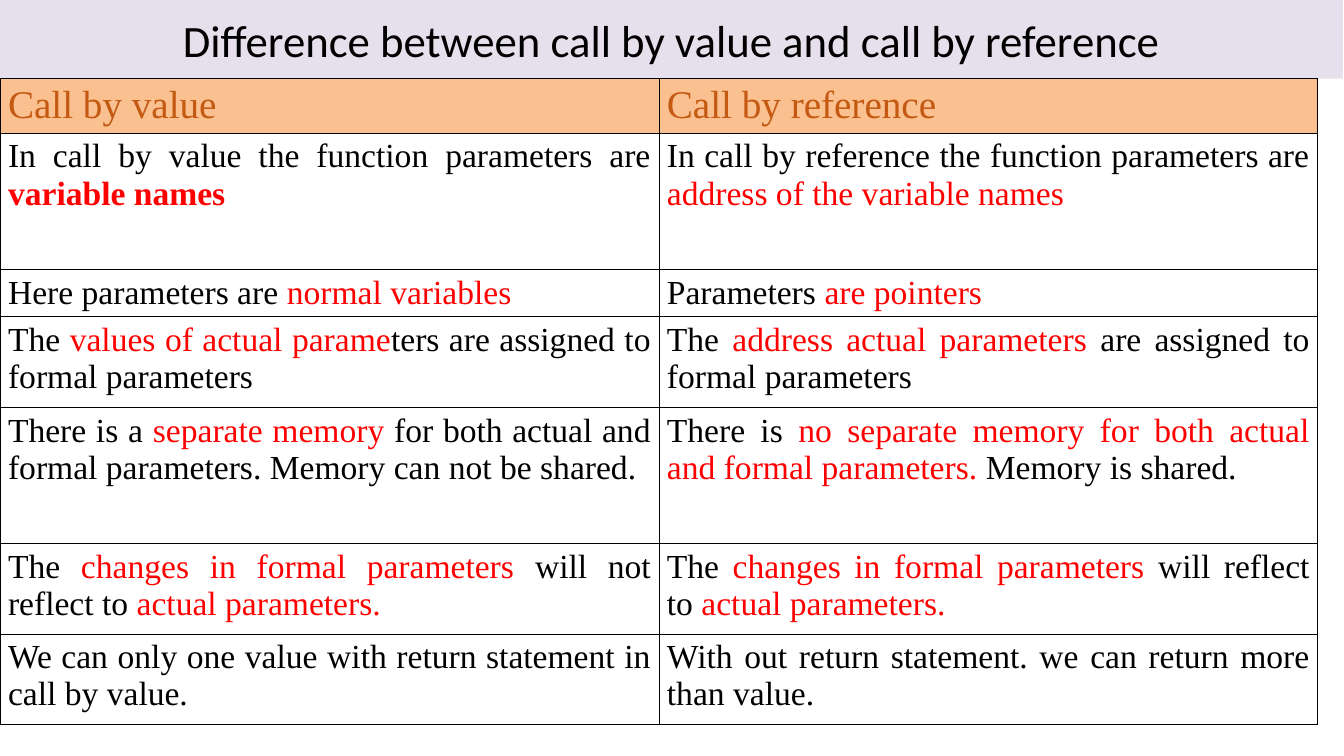
from dataclasses import dataclass
from itertools import product

from lxml.etree import SubElement
from pptx import Presentation
from pptx.dml.color import RGBColor
from pptx.enum.text import MSO_ANCHOR, MSO_AUTO_SIZE, PP_ALIGN
from pptx.oxml.ns import qn
from pptx.util import Inches, Pt


@dataclass(frozen=True)
class Theme:
    title_font: str = "Calibri"
    table_font: str = "Times New Roman"
    title_size: float = 32
    header_size: float = 28
    body_size: float = 24
    border_width: float = 0.45
    text: str = "000000"
    highlight: str = "FF0000"
    header_text: str = "C45911"
    title_fill: str = "E6E0EC"
    header_fill: str = "FAC090"
    border: str = "000000"


THEME = Theme()

STYLES = {
    "title": {"name": THEME.title_font, "size": THEME.title_size, "color": THEME.text},
    "header": {"name": THEME.table_font, "size": THEME.header_size, "color": THEME.header_text},
    "plain": {"name": THEME.table_font, "size": THEME.body_size, "color": THEME.text},
    "red": {"name": THEME.table_font, "size": THEME.body_size, "color": THEME.highlight},
    "strong": {"name": THEME.table_font, "size": THEME.body_size, "color": THEME.highlight, "bold": True},
}

TITLE = "Difference between call by value and call by reference"
COLUMN_WIDTH = 6.54
ROW_HEIGHTS = [0.54, 1.35, 0.45, 0.9, 1.35, 0.9, 0.9]
TABLE_TOP = 0.78

COMPARISON = [
    [
        [("header", "Call by value")],
        [("header", "Call by reference")],
    ],
    [
        [("plain", "In call by value the function parameters are "), ("strong", "variable names")],
        [("plain", "In call by reference the function parameters are "),
         ("red", "address of the variable names")],
    ],
    [
        [("plain", "Here parameters are "), ("red", "normal variables")],
        [("plain", "Parameters "), ("red", "are pointers")],
    ],
    [
        [("plain", "The "), ("red", "values of actual parame"),
         ("plain", "ters are assigned to formal parameters")],
        [("plain", "The "), ("red", "address actual parameters"),
         ("plain", " are assigned to formal parameters")],
    ],
    [
        [("plain", "There is a "), ("red", "separate memory "),
         ("plain", "for both actual and formal parameters. Memory can not be shared.")],
        [("plain", "There is "), ("red", "no separate memory for both actual and formal parameters. "),
         ("plain", "Memory is shared.")],
    ],
    [
        [("plain", "The "), ("red", "changes in formal parameters "),
         ("plain", "will not reflect to "), ("red", "actual parameters.")],
        [("plain", "The "), ("red", "changes in formal parameters"),
         ("plain", " will reflect to "), ("red", "actual parameters.")],
    ],
    [
        [("plain", "We can only one value with return statement in call by value.")],
        [("plain", "With out return statement. we can return more than value.")],
    ],
]


def set_attributes(target, values):
    for name, value in values.items():
        setattr(target, name, value)


def set_fill(fill, color):
    fill.solid()
    fill.fore_color.rgb = RGBColor.from_string(color)


def write_runs(paragraph, runs, alignment):
    paragraph.alignment = alignment
    for style_name, text in runs:
        style = STYLES[style_name]
        run = paragraph.add_run()
        run.text = text
        set_attributes(run.font, {
            "name": style["name"],
            "size": Pt(style["size"]),
            "bold": style.get("bold", False),
        })
        run.font.color.rgb = RGBColor.from_string(style["color"])


def add_borders(cell):
    properties = cell._tc.get_or_add_tcPr()
    for side in ("lnL", "lnR", "lnT", "lnB"):
        line = SubElement(properties, qn(f"a:{side}"), w=str(Pt(THEME.border_width)))
        SubElement(SubElement(line, qn("a:solidFill")), qn("a:srgbClr"), val=THEME.border)


def format_title(slide):
    title = slide.shapes.title
    set_attributes(title, {
        "left": Inches(0),
        "top": Inches(0),
        "width": Inches(13.33),
        "height": Inches(TABLE_TOP),
    })
    set_fill(title.fill, THEME.title_fill)
    set_attributes(title.text_frame, {
        "word_wrap": True,
        "auto_size": MSO_AUTO_SIZE.NONE,
        "vertical_anchor": MSO_ANCHOR.MIDDLE,
    })
    write_runs(title.text_frame.paragraphs[0], [("title", TITLE)], PP_ALIGN.CENTER)


def fill_cell(cell, runs, is_header):
    set_attributes(cell, {
        "margin_left": Inches(0.08),
        "margin_right": Inches(0.08),
        "margin_top": Inches(0.05),
        "margin_bottom": Inches(0.05),
        "vertical_anchor": MSO_ANCHOR.TOP,
    })
    add_borders(cell)
    if is_header:
        set_fill(cell.fill, THEME.header_fill)
    else:
        cell.fill.background()
    write_runs(cell.text_frame.paragraphs[0], runs, PP_ALIGN.JUSTIFY)


def add_comparison_table(slide):
    row_count, column_count = len(COMPARISON), len(COMPARISON[0])
    table = slide.shapes.add_table(
        row_count, column_count, Inches(0), Inches(TABLE_TOP),
        Inches(COLUMN_WIDTH * column_count), Inches(sum(ROW_HEIGHTS)),
    ).table
    set_attributes(table, {"first_row": False, "horz_banding": False})
    for column in table.columns:
        column.width = Inches(COLUMN_WIDTH)
    for row, height in zip(table.rows, ROW_HEIGHTS):
        row.height = Inches(height)
    for row_index, column_index in product(range(row_count), range(column_count)):
        fill_cell(table.cell(row_index, column_index),
                  COMPARISON[row_index][column_index], row_index == 0)


def main():
    presentation = Presentation()
    set_attributes(presentation, {"slide_width": Inches(13.34), "slide_height": Inches(7.5)})
    slide = presentation.slides.add_slide(presentation.slide_layouts[5])
    format_title(slide)
    add_comparison_table(slide)
    presentation.save("out.pptx")


if __name__ == "__main__":
    main()
